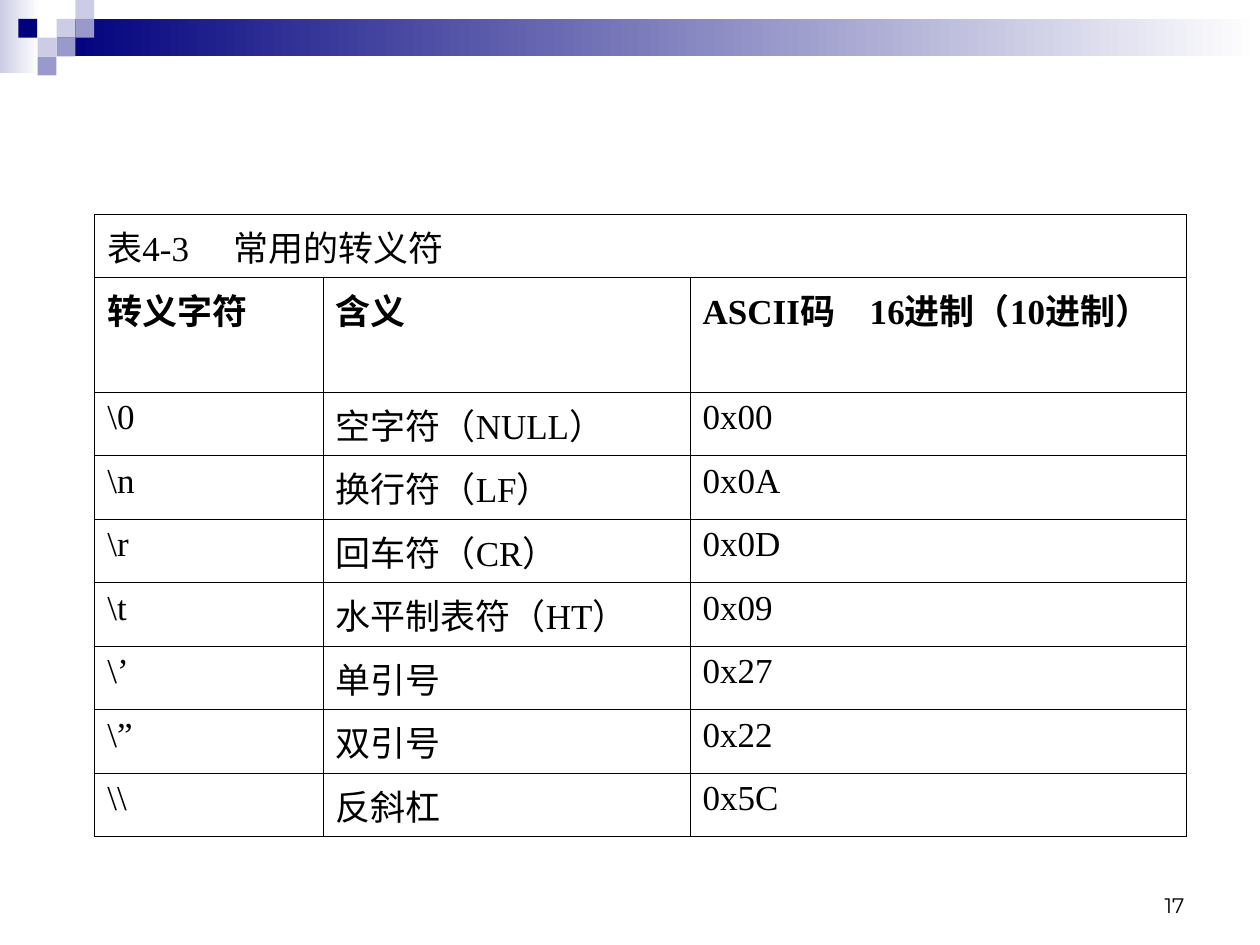
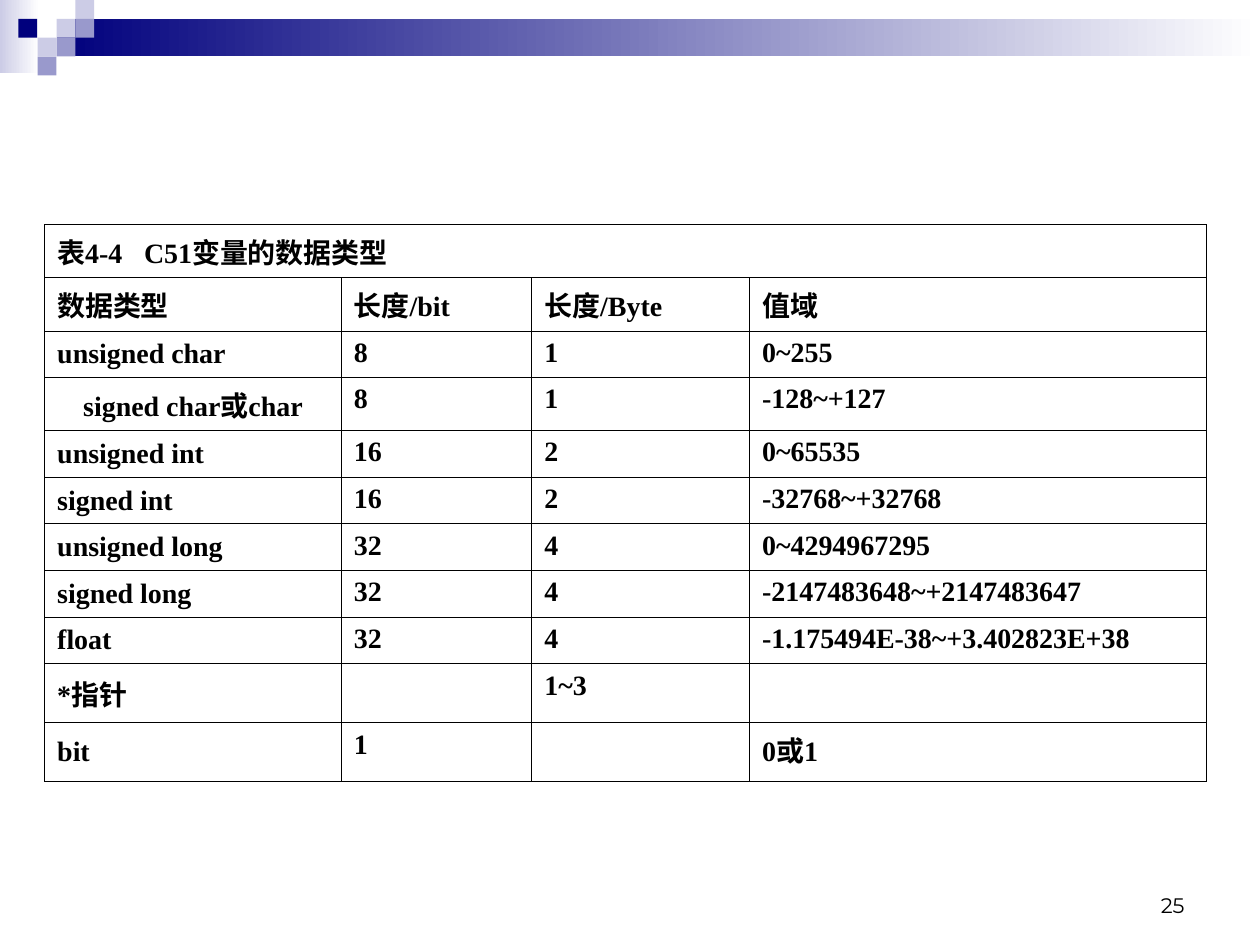
from dataclasses import dataclass, field

from lxml import etree
from pptx import Presentation
from pptx.dml.color import RGBColor
from pptx.enum import shapes, text
from pptx.oxml import ns
from pptx.slide import Slide
from pptx.util import Cm, Pt

NAVY = RGBColor(0x00, 0x00, 0x7D)
MID = RGBColor(0x99, 0x99, 0xCC)
PALE = RGBColor(0xCC, 0xCC, 0xE6)
WHITE = RGBColor(0xFF, 0xFF, 0xFF)
BLACK = RGBColor(0x00, 0x00, 0x00)
SERIF, SANS = "Times New Roman", "Montserrat"
TILE = 0.38


@dataclass(frozen=True)
class Box:
    """A rectangle in centimetres, fading to white when asked."""
    left: float
    top: float
    width: float
    height: float
    color: RGBColor
    fade: bool = False


@dataclass(frozen=True)
class Grid:
    """A captioned table, measured in centimetres and points."""
    page: int
    left: float
    top: float
    cols: list[float]
    row: float
    size: int
    rows: list[list[str]]
    bold: range
    stops: dict[int, float]
    tall: dict[int, float] = field(default_factory=dict)
    middle: set[tuple[int, int]] = field(default_factory=set)
    center: set[tuple[int, int]] = field(default_factory=set)


def tile(col: float, row: int, color: RGBColor) -> Box:
    """Place one square of the corner pattern."""
    return Box(col * TILE, row * TILE, TILE, TILE, color)


BANDS = [
    Box(0, 0, 0.79, 1.47, PALE, True),
    Box(1.14, 0.38, 24.26, 0.76, NAVY, True),
    tile(3, 1, PALE), tile(4, 0, PALE), tile(4, 1, MID), tile(2, 2, PALE),
    tile(0.97, 1, NAVY), tile(3, 2, MID), tile(2, 3, MID),
]

ESCAPES = Grid(
    page=17, left=1.91, top=4.32, cols=[4.6, 7.4, 10], row=1.28, size=20,
    rows=[
        ["表4-3\t常用的转义符"],
        ["转义字符", "含义", "ASCII码\t16进制（10进制）"],
        [r"\0", "空字符（NULL）", "0x00"],
        [r"\n", "换行符（LF）", "0x0A"],
        [r"\r", "回车符（CR）", "0x0D"],
        [r"\t", "水平制表符（HT）", "0x09"],
        [r"\’", "单引号", "0x27"],
        [r"\”", "双引号", "0x22"],
        [r"\\", "反斜杠", "0x5C"],
    ],
    bold=range(1, 2), stops={0: 2.54, 1: 3.37}, tall={1: 2.3},
)

TYPES = Grid(
    page=25, left=0.9, top=4.53, cols=[5.98, 3.84, 4.39, 9.2], row=0.94, size=16,
    rows=[
        ["表4-4\tC51变量的数据类型"],
        ["数据类型", "长度/bit", "长度/Byte", "值域"],
        ["unsigned char", "8", "1", "0~255"],
        ["signed char或char", "8", "1", "-128~+127"],
        ["unsigned int", "16", "2", "0~65535"],
        ["signed int", "16", "2", "-32768~+32768"],
        ["unsigned long", "32", "4", "0~4294967295"],
        ["signed long", "32", "4", "-2147483648~+2147483647"],
        ["float", "32", "4", "-1.175494E-38~+3.402823E+38"],
        ["*指针", "", "1~3", ""],
        ["bit", "1", "", "0或1"],
    ],
    bold=range(11), stops={0: 1.75},
    tall={0: 1.07, 1: 1.07, 3: 1.07, 9: 1.19, 10: 1.19},
    middle={(row, 0) for row in range(2, 11)}, center={(3, 0)},
)


def style(para, face: str, size: int, bold: bool = False) -> None:
    """Set the font of a whole paragraph."""
    font = para.font
    font.name, font.size, font.bold = face, Pt(size), bold
    font.color.rgb = BLACK


def draw_box(slide: Slide, box: Box) -> None:
    """Draw one borderless rectangle."""
    shape = slide.shapes.add_shape(
        shapes.MSO_SHAPE.RECTANGLE,
        Cm(box.left), Cm(box.top), Cm(box.width), Cm(box.height))
    shape.shadow.inherit = False
    shape.line.fill.background()
    if box.fade:
        shape.fill.gradient()
        shape.fill.gradient_angle = 180
        for stop, color in zip(shape.fill.gradient_stops, (WHITE, box.color)):
            stop.color.rgb = color
    else:
        shape.fill.solid()
        shape.fill.fore_color.rgb = box.color


def frame(cell) -> None:
    """Clear the fill of a cell and rule its four sides."""
    cell.fill.background()
    props = cell._tc.get_or_add_tcPr()
    for place, side in enumerate("LRTB"):
        line = etree.Element(ns.qn(f"a:ln{side}"), w=str(Pt(0.45)))
        fill = etree.SubElement(line, ns.qn("a:solidFill"))
        etree.SubElement(fill, ns.qn("a:srgbClr"), val=str(BLACK))
        props.insert(place, line)


def add_stop(para, place: float) -> None:
    """Give a paragraph one left tab stop."""
    tabs = etree.SubElement(para._p.get_or_add_pPr(), ns.qn("a:tabLst"))
    etree.SubElement(tabs, ns.qn("a:tab"), pos=str(Cm(place)), algn="l")


def draw_grid(slide: Slide, grid: Grid) -> None:
    """Draw the table with its caption row merged."""
    highs = [grid.tall.get(row, grid.row) for row in range(len(grid.rows))]
    table = slide.shapes.add_table(
        len(highs), len(grid.cols), Cm(grid.left), Cm(grid.top),
        Cm(sum(grid.cols)), Cm(sum(highs))).table
    table.first_row = table.horz_banding = False
    for col, width in zip(table.columns, grid.cols):
        col.width = Cm(width)
    for row, high in zip(table.rows, highs):
        row.height = Cm(high)
    for cell in table.iter_cells():
        frame(cell)
    table.cell(0, 0).merge(table.cell(0, len(grid.cols) - 1))
    for row, words in enumerate(grid.rows):
        for col, word in enumerate(words):
            cell = table.cell(row, col)
            cell.text = word
            para = cell.text_frame.paragraphs[0]
            if "\t" in word:
                add_stop(para, grid.stops[row])
            if (row, col) in grid.middle:
                cell.vertical_anchor = text.MSO_ANCHOR.MIDDLE
            if (row, col) in grid.center:
                para.alignment = text.PP_ALIGN.CENTER
            style(para, SERIF, grid.size, row in grid.bold)


def draw_page(slide: Slide, page: int) -> None:
    """Write the slide number at the lower right."""
    box = slide.shapes.add_textbox(Cm(18.21), Cm(17.35), Cm(5.92), Cm(1.27))
    body = box.text_frame
    body.word_wrap = True
    body.vertical_anchor = text.MSO_ANCHOR.BOTTOM
    body.text = str(page)
    para = body.paragraphs[0]
    para.alignment = text.PP_ALIGN.RIGHT
    style(para, SANS, 12)


def main() -> None:
    """Build the deck."""
    deck = Presentation()
    deck.slide_width, deck.slide_height = Cm(25.4), Cm(19.05)
    for grid in (ESCAPES, TYPES):
        slide = deck.slides.add_slide(deck.slide_layouts[6])
        for box in BANDS:
            draw_box(slide, box)
        draw_grid(slide, grid)
        draw_page(slide, grid.page)
    deck.save("out.pptx")


if __name__ == "__main__":
    main()
